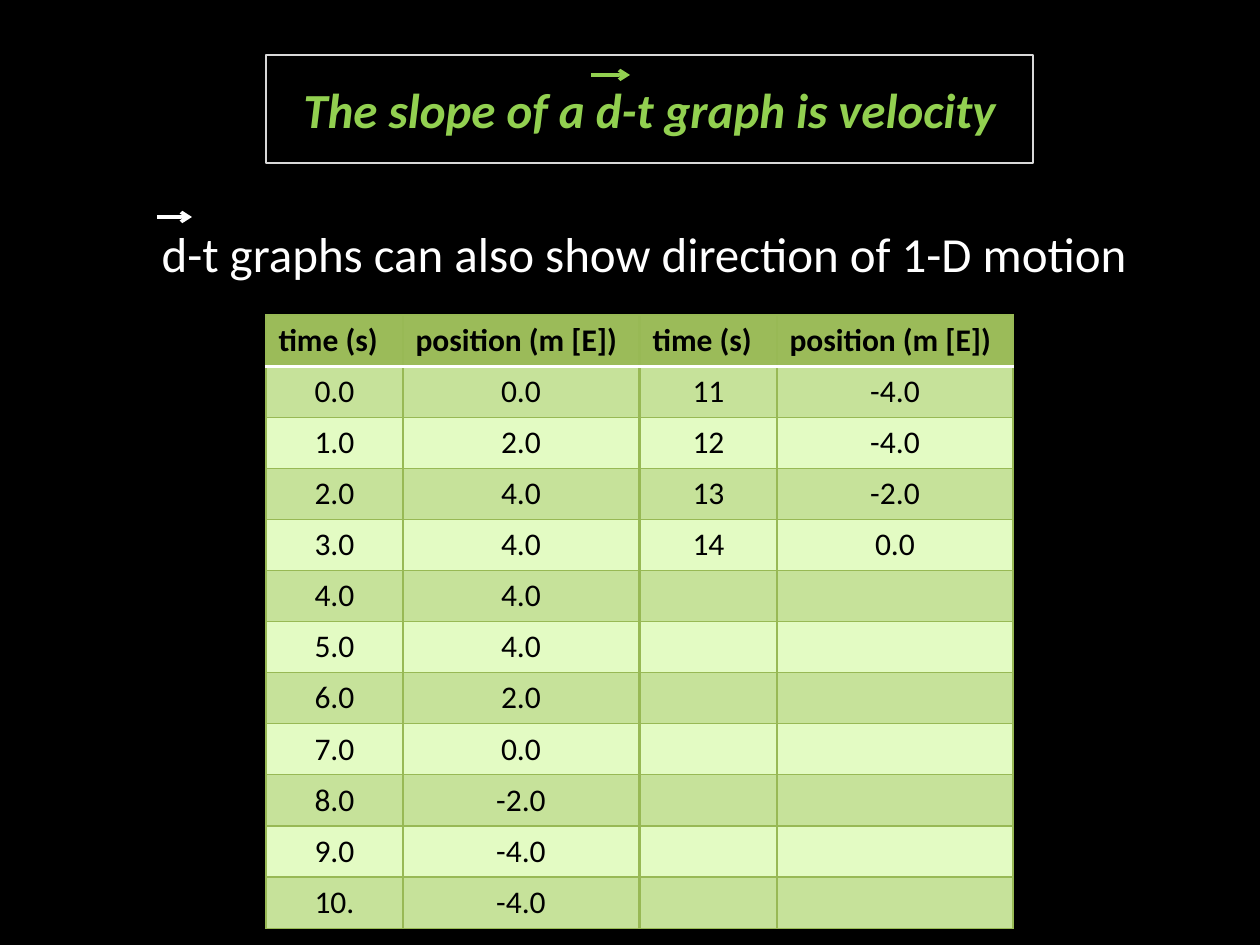
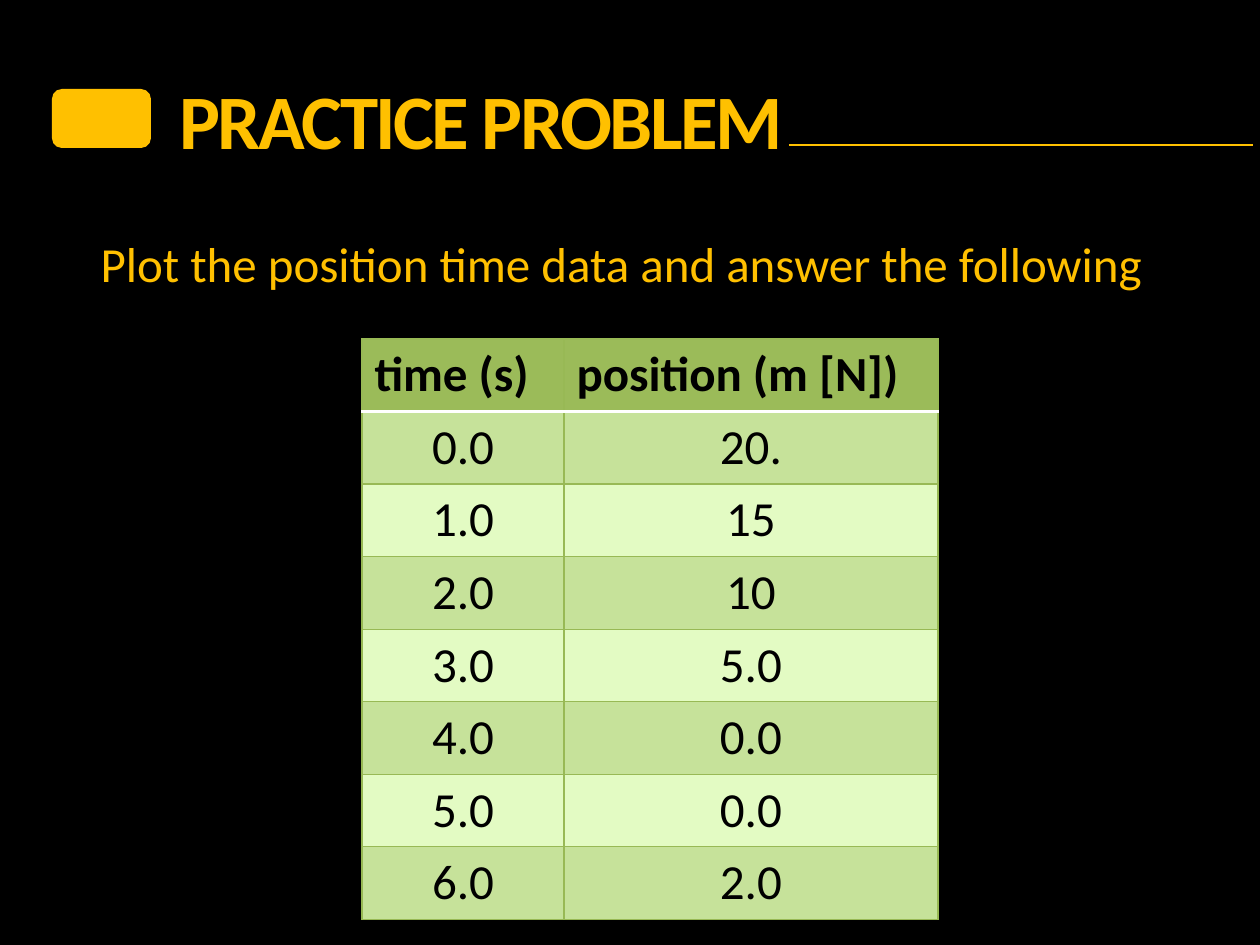
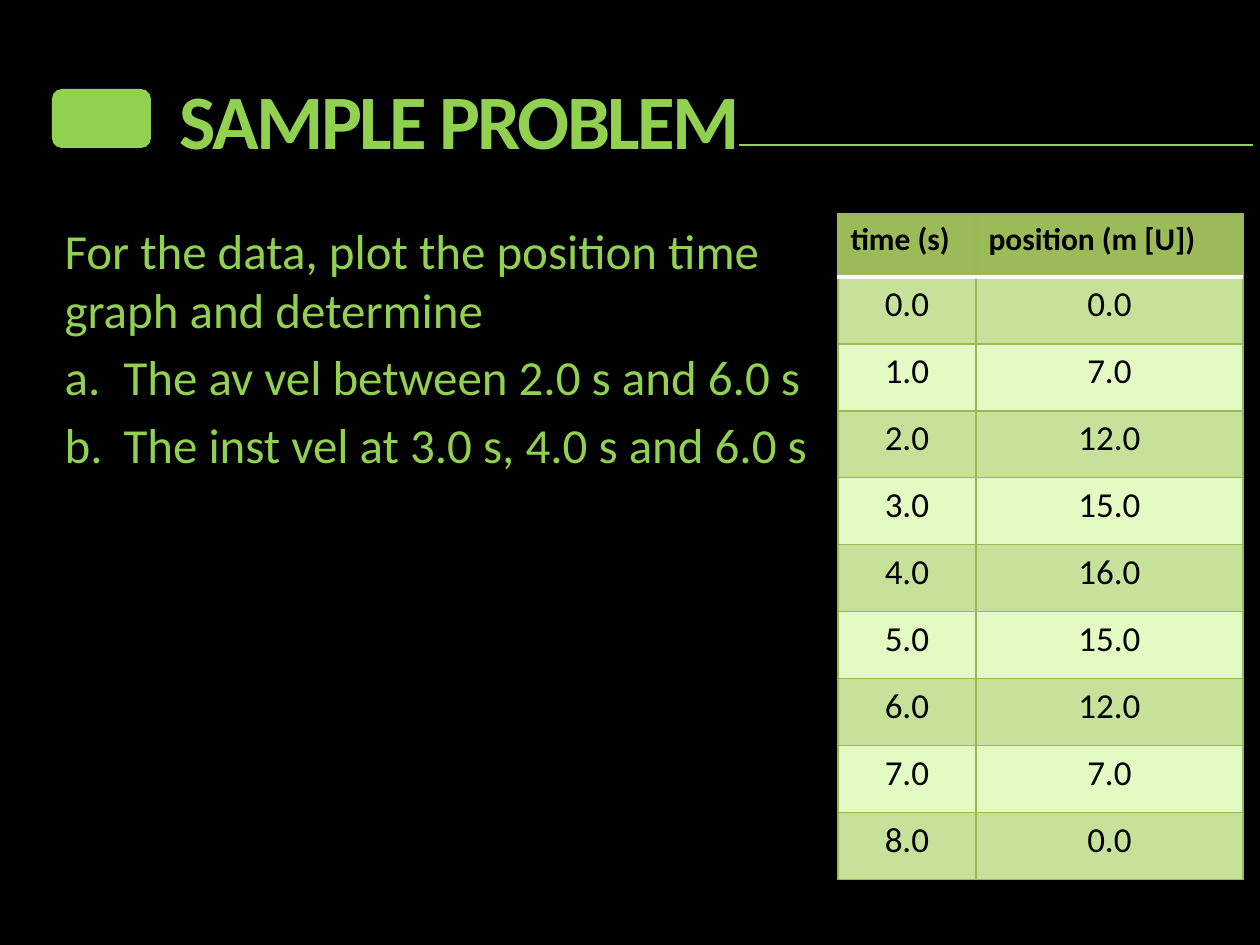
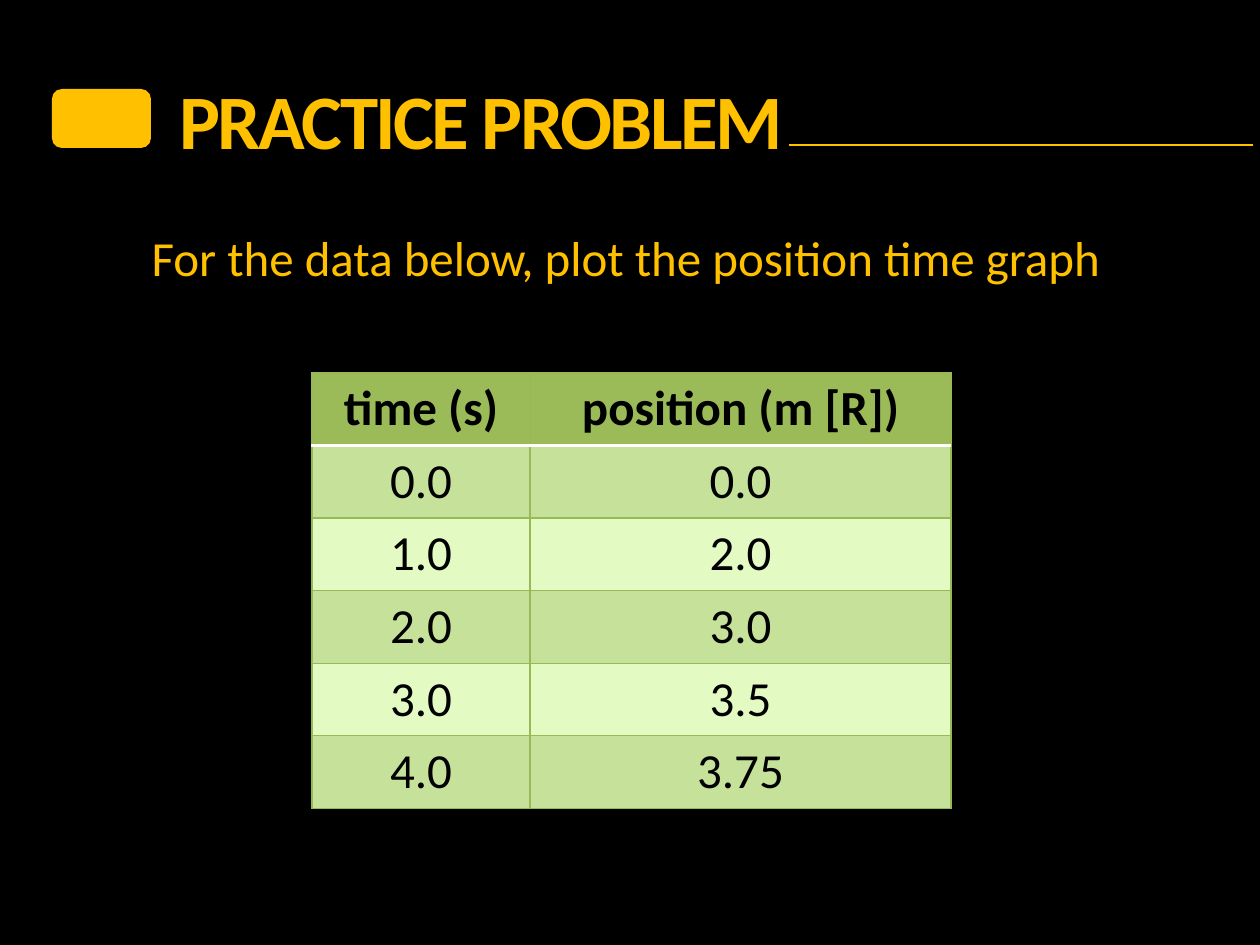
from lxml import etree
from pptx import Presentation
from pptx import util as u
from pptx.dml.color import RGBColor
from pptx.enum import shapes, text
from pptx.oxml import ns

PX = u.Inches(1) / 126
FONT = "Calibri"
COLOURS = {
    "background": "000000", "ink": "000000", "white": "FFFFFF",
    "frame": "D9D9D9", "green": "92D050", "gold": "FFC000",
    "header": "9BBB59", "odd row": "C6E29A", "even row": "E3FBC3", "grid": "98B955",
}
LEFT, CENTER = text.PP_ALIGN.LEFT, text.PP_ALIGN.CENTER


def px(*lengths):
    """Turn lengths in px into EMU."""
    return [u.Emu(round(length * PX)) for length in lengths]


def write(para, words, size=28, colour="ink", bold=False, italic=False,
          align=LEFT, before=0, indent=0, hanging=0, tracking=0, bullet=None):
    props = para._p.get_or_add_pPr()
    margin, first = px(indent, -hanging)
    props.set("marL", str(margin))
    props.set("indent", str(first))
    if bullet:
        etree.SubElement(props, ns.qn("a:buAutoNum"), type=bullet)
    else:
        etree.SubElement(props, ns.qn("a:buNone"))
    para.alignment = align
    para.space_before = u.Pt(before)
    span = para.add_run()
    span.text = words
    span.font.name = FONT
    span.font.size = u.Pt(size)
    span.font.bold = bold
    span.font.italic = italic
    span.font.color.rgb = RGBColor.from_string(COLOURS[colour])
    if tracking:
        span._r.get_or_add_rPr().set("spc", str(tracking))


banner = dict(size=44, bold=True, indent=75, tracking=-150)
banner_at = (92, 66, 1160, 106)
seconds = ["0.0", "1.0", "2.0", "3.0", "4.0", "5.0", "6.0", "7.0", "8.0", "9.0", "10."]

practice = dict(title="PRACTICE PROBLEM", title_at=banner_at, title_format=banner,
                colour="gold", tag=True, rules=[(789, 1253, 145, "gold", 0.75, False)])

pages = [
    dict(
        title="The slope of a d-t graph is velocity", title_at=(266, 55, 767, 108),
        title_format=dict(bold=True, italic=True, align=CENTER), colour="green",
        framed=True, body="d-t graphs can also show direction of 1-D motion",
        body_at=(149, 217, 1008, 64), body_colour="white",
        rules=[(591, 630, 75, "green", 2, True), (157, 192, 217, "white", 2, True)],
        tables=[
            dict(at=(266, 315), columns=(137, 236), rows=(51, 51), unit="E", size=18,
                 times=seconds, positions=["0.0", "2.0", "4.0", "4.0", "4.0", "4.0", "2.0",
                                           "0.0", "-2.0", "-4.0", "-4.0"]),
            dict(at=(640, 315), columns=(137, 236), rows=(51, 51), unit="E", size=18,
                 times=["11", "12", "13", "14"] + [""] * 7,
                 positions=["-4.0", "-4.0", "-2.0", "0.0"] + [""] * 7),
        ]),
    dict(
        practice, body="Plot the position time data and answer the following",
        body_at=(88, 227, 1142, 72),
        tables=[dict(at=(362, 339), columns=(202, 374), rows=(71, 71), unit="N", size=28,
                     times=seconds[:7],
                     positions=["20.", "15", "10", "5.0", "0.0", "0.0", "2.0"])]),
    dict(
        title="SAMPLE PROBLEM", title_at=banner_at, title_format=banner,
        colour="green", tag=True, rules=[(739, 1253, 145, "green", 0.75, False)],
        body="For the data, plot the position time graph and determine",
        body_at=(52, 214, 786, 273),
        questions=["The av vel between 2.0 s and 6.0 s",
                   "The inst vel at 3.0 s, 4.0 s and 6.0 s"],
        tables=[dict(at=(838, 214), columns=(138, 267), rows=(63, 67), unit="U", size=18,
                     value_size=20, times=seconds[:9],
                     positions=["0.0", "7.0", "12.0", "15.0", "16.0", "15.0", "12.0",
                                "7.0", "0.0"])]),
    dict(
        practice, body="For the data below, plot the position time graph",
        body_at=(139, 221, 1066, 93),
        tables=[dict(at=(312, 373), columns=(218, 421), rows=(71, 71), unit="R", size=28,
                     header_align=CENTER, times=seconds[:5],
                     positions=["0.0", "2.0", "3.0", "3.5", "3.75"])]),
]

deck = Presentation()
deck.slide_width, deck.slide_height = px(1260, 945)
backdrop = deck.slide_master.background.fill
backdrop.solid()
backdrop.fore_color.rgb = RGBColor.from_string(COLOURS["background"])

for content in pages:
    page = deck.slides.add_slide(deck.slide_layouts[1])
    colour = content["colour"]
    title, body = page.shapes.title, page.placeholders[1]
    for holder, place in ((title, content["title_at"]), (body, content["body_at"])):
        holder.left, holder.top, holder.width, holder.height = px(*place)
        holder.text_frame.word_wrap = True
        holder.text_frame.auto_size = text.MSO_AUTO_SIZE.NONE

    write(title.text_frame.paragraphs[0], content["title"], colour=colour,
          **content["title_format"])
    if content.get("framed"):
        title.line.color.rgb = RGBColor.from_string(COLOURS["frame"])
        title.line.width = u.Pt(0.75)

    write(body.text_frame.paragraphs[0], content["body"],
          colour=content.get("body_colour", colour))
    for question in content.get("questions", []):
        write(body.text_frame.add_paragraph(), question, colour=colour, before=5,
              indent=59, hanging=59, bullet="alphaLcPeriod")

    if content.get("tag"):
        tag = page.shapes.add_shape(shapes.MSO_SHAPE.ROUNDED_RECTANGLE, *px(52, 89, 99, 59))
        tag.shadow.inherit = False
        tag.fill.solid()
        tag.fill.fore_color.rgb = RGBColor.from_string(COLOURS[colour])
        tag.line.fill.background()

    for start, end, level, rule_colour, weight, arrow in content["rules"]:
        rule = page.shapes.add_connector(shapes.MSO_CONNECTOR.STRAIGHT,
                                         *px(start, level, end, level))
        rule.line.color.rgb = RGBColor.from_string(COLOURS[rule_colour])
        rule.line.width = u.Pt(weight)
        if arrow:
            etree.SubElement(rule.line._get_or_add_ln(), ns.qn("a:tailEnd"), type="arrow")
        etree.SubElement(rule._element.spPr, ns.qn("a:effectLst"))

    for data in content["tables"]:
        header = ("time (s)", f"position (m [{data['unit']}])")
        records = [header, *zip(data["times"], data["positions"])]
        header_height, row_height = data["rows"]
        height = header_height + row_height * (len(records) - 1)
        table = page.shapes.add_table(
            len(records), 2, *px(*data["at"], sum(data["columns"]), height)).table
        for column, width in zip(table.columns, px(*data["columns"])):
            column.width = width
        for number, record in enumerate(records):
            is_header = number == 0
            table.rows[number].height = px(header_height if is_header else row_height)[0]
            shade = "header" if is_header else "odd row" if number % 2 else "even row"
            for cell, words in zip(table.rows[number].cells, record):
                for side in "LRTB":
                    divider = (number, side) in ((0, "B"), (1, "T"))
                    edge = etree.SubElement(cell._tc.get_or_add_tcPr(), ns.qn(f"a:ln{side}"),
                                            w=str(u.Pt(2 if divider else 0.75)))
                    paint = etree.SubElement(edge, ns.qn("a:solidFill"))
                    etree.SubElement(paint, ns.qn("a:srgbClr"),
                                     val=COLOURS["white" if divider else "grid"])
                cell.fill.solid()
                cell.fill.fore_color.rgb = RGBColor.from_string(COLOURS[shade])
                para = cell.text_frame.paragraphs[0]
                if is_header:
                    write(para, words, size=data["size"], bold=True,
                          align=data.get("header_align", LEFT))
                elif words:
                    write(para, words, size=data.get("value_size", data["size"]), align=CENTER)

deck.save("out.pptx")
